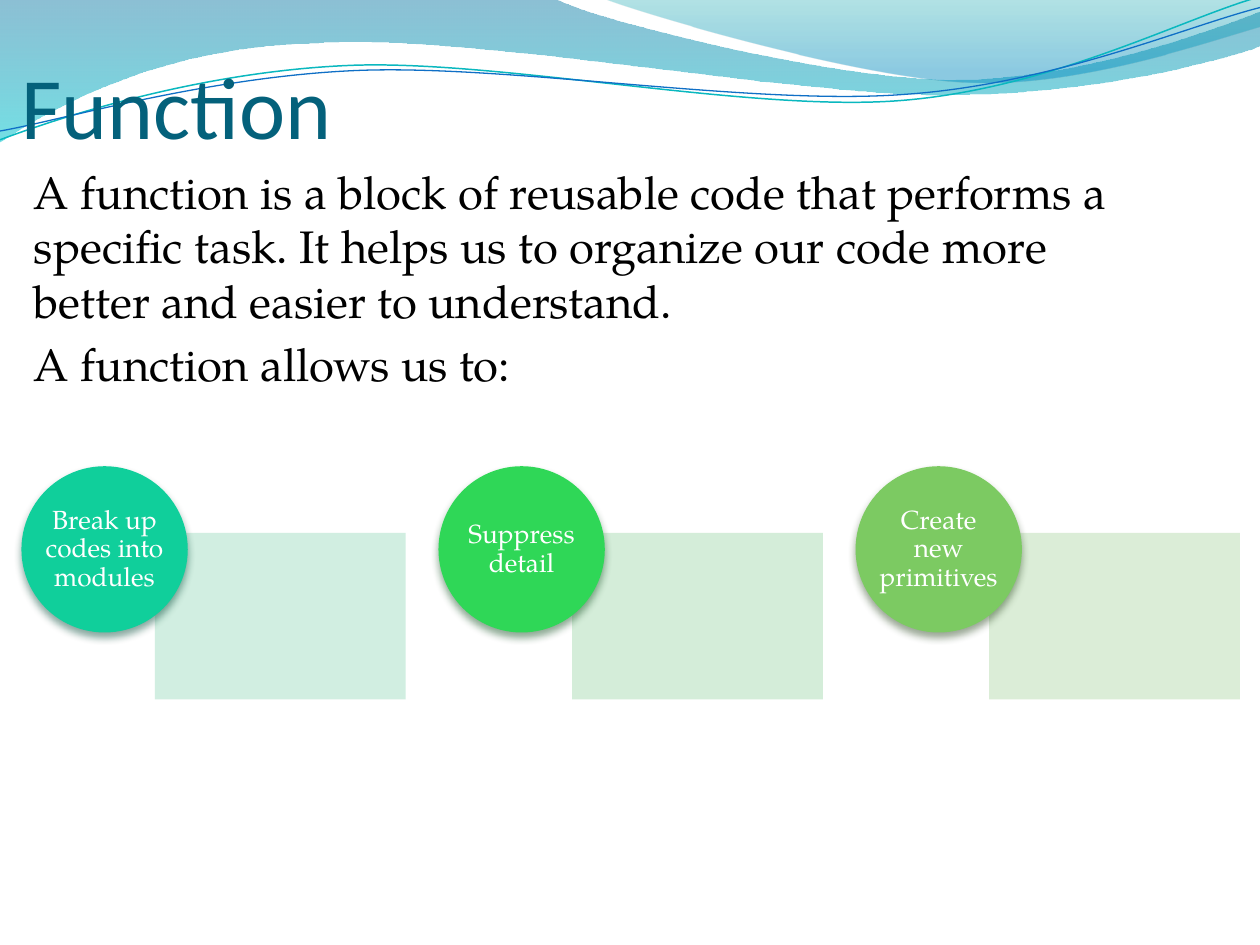
from lxml import etree
from pptx import Presentation
from pptx.dml.color import RGBColor
from pptx.enum import shapes, text
from pptx.oxml import parse_xml
from pptx.oxml.ns import nsdecls, qn
from pptx.util import Inches, Pt

deck = Presentation()
deck.slide_width, deck.slide_height = Inches(10), Inches(7.5)
slide = deck.slides.add_slide(deck.slide_layouts[6])
items = slide.shapes


def rgb(code):
    return RGBColor.from_string(code)


def write(box, lines, size, face, color):
    frame = box.text_frame
    frame.word_wrap = True
    frame.text = "\n".join(lines)
    for para in frame.paragraphs:
        for run in para.runs:
            run.font.size = Pt(size)
            run.font.name = face
            run.font.color.rgb = rgb(color)
    return frame


upper = [
    [(0, 0)], [(4.4, -0.01)],
    [(4.76, 0.17), (6.64, 0.63), (7.58, 0.63)],
    [(8.53, 0.63), (9.58, 0.26), (10, 0.09)], [(10.01, 0.36)],
    [(9.83, 0.44), (8.7, 0.76), (7.46, 0.75)],
    [(6.22, 0.75), (3.82, 0.28), (2.57, 0.34)],
    [(1.29, 0.36), (0.46, 0.83), (-0.01, 1.13)], [(0, 0)],
]
right = [
    [(4.79, -0.01)],
    [(5.09, 0.11), (6.82, 0.62), (7.69, 0.65)],
    [(8.56, 0.69), (9.61, 0.32), (10, 0.21)], [(10, 0)], [(4.79, -0.01)],
]
teal = [
    [(0, 1.11)],
    [(0.48, 0.93), (1.58, 0.57), (2.77, 0.52)],
    [(3.95, 0.47), (5.93, 0.89), (7.13, 0.8)],
    [(8.33, 0.71), (9.38, 0.15), (9.98, -0.02)],
]
blue = [
    [(0, 1.04)],
    [(0.47, 0.96), (1.64, 0.61), (2.83, 0.56)],
    [(4.03, 0.51), (5.97, 0.84), (7.17, 0.75)],
    [(8.36, 0.67), (9.41, 0.21), (10, 0.06)],
]
waves = [
    (upper, [(0, "0074A1", 45), (1, "00C6CF", 55)], None),
    (right, [(0, "00A1A9", 30), (0.8, "008BBF", 45)], None),
    (teal, None, ("0AB8BF", 0.85)),
    (blue, None, ("0F6FC6", 0.75)),
]
for parts, stops, line in waves:
    dots = [(Inches(x), Inches(y)) for part in parts for x, y in part]
    path = items.build_freeform(*dots[0])
    path.add_line_segments(dots[1:], close=bool(stops))
    wave = path.convert_to_shape()
    wave.shadow.inherit = False
    legs = iter(list(wave._element.spPr.iter(qn("a:lnTo"))))
    for part in parts[1:]:
        group = [next(legs) for dot in part]
        if len(group) == 3:
            group[0].addprevious(curve := parse_xml(f'<a:cubicBezTo {nsdecls("a")}/>'))
            for leg in group:
                curve.append(leg[0])
                leg.getparent().remove(leg)
    if stops:
        wave.line.fill.background()
        wave.fill.gradient()
        wave.fill.gradient_angle = 270
        for stop, (pos, color, alpha) in zip(wave.fill.gradient_stops, stops):
            stop.position = pos
            stop.color.rgb = rgb(color)
        for tag, (pos, color, alpha) in zip(wave._element.spPr.iter(qn("a:srgbClr")), stops):
            etree.SubElement(tag, qn("a:alpha")).set("val", str(alpha * 1000))
    else:
        wave.fill.background()
        wave.line.color.rgb = rgb(line[0])
        wave.line.width = Pt(line[1])

title = items.add_textbox(Inches(0.17), Inches(0), Inches(9), Inches(1.25))
frame = write(title, ["Function"], 50, "Calibri", "04617B")
frame.vertical_anchor = text.MSO_ANCHOR.BOTTOM
frame.margin_left = frame.margin_right = frame.margin_bottom = 0

body = items.add_textbox(Inches(0.17), Inches(1.25), Inches(9), Inches(6.25))
frame = write(body, [
    "A function is a block of reusable code that performs a specific task. "
    "It helps us to organize our code more better and easier to understand.",
    "A function allows us to:",
], 26, "TeX Gyre Pagella", "000000")
for para in frame.paragraphs:
    para.space_before = Pt(5.2)

cards = [
    ("Break up codes into modules", "10CF9B", "CCEDDE", "044A37"),
    ("Suppress detail", "2FD757", "D0ECD5", "0F4D1E"),
    ("Create new primitives", "7CCA62", "D8ECD3", "2B4821"),
]
for i, (label, color, pale, shade) in enumerate(cards):
    left = 0.17 + 3.31 * i
    panel = items.add_shape(shapes.MSO_SHAPE.RECTANGLE, Inches(left + 1.06), Inches(4.23), Inches(1.99), Inches(1.32))
    disc = items.add_shape(shapes.MSO_SHAPE.OVAL, Inches(left), Inches(3.7), Inches(1.32), Inches(1.32))
    for shape, fill in ((panel, pale), (disc, color)):
        shape.shadow.inherit = False
        shape.fill.solid()
        shape.fill.fore_color.rgb = rgb(fill)
        shape.line.fill.background()
    tag = panel._element.spPr.find(".//" + qn("a:srgbClr"))
    etree.SubElement(tag, qn("a:alpha")).set("val", "90000")
    disc._element.spPr.find(qn("a:effectLst")).append(parse_xml(
        f'<a:outerShdw {nsdecls("a")} blurRad="{Pt(4.5)}" dist="{Pt(3)}" dir="5400000" rotWithShape="0">'
        f'<a:srgbClr val="{shade}"><a:alpha val="48000"/></a:srgbClr></a:outerShdw>'))
    note = items.add_textbox(Inches(left + 0.19), Inches(3.89), Inches(0.94), Inches(0.94))
    frame = write(note, [label], 15, "TeX Gyre Pagella", "FFFFFF")
    frame.vertical_anchor = text.MSO_ANCHOR.MIDDLE
    frame.margin_left = frame.margin_right = frame.margin_top = frame.margin_bottom = 0
    para = frame.paragraphs[0]
    para.alignment = text.PP_ALIGN.CENTER
    para.line_spacing = 0.9
    para.space_after = Pt(5.25)

deck.save("out.pptx")
